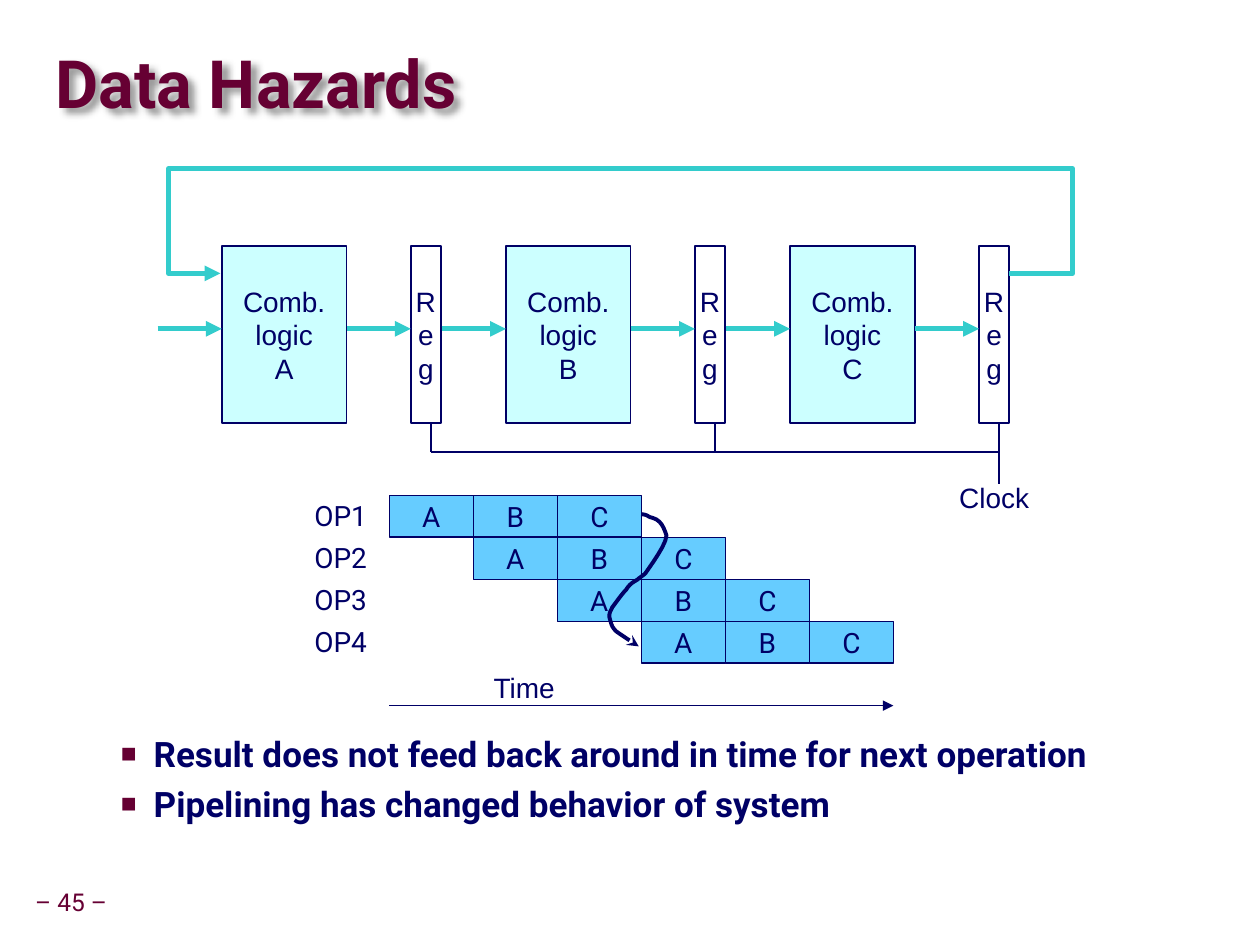
from dataclasses import dataclass
from typing import Optional

from lxml.etree import SubElement
from pptx import Presentation
from pptx.dml.color import RGBColor
from pptx.enum.shapes import MSO_CONNECTOR, MSO_SHAPE
from pptx.enum.text import MSO_ANCHOR as Anchor, MSO_AUTO_SIZE as AutoSize, PP_ALIGN as Align
from pptx.oxml import parse_xml
from pptx.oxml.ns import nsdecls, qn
from pptx.util import Inches, Pt

NAVY, MAROON, TEAL = "000066", "660033", "33CCCC"
WHITE, PALE, SKY = "FFFFFF", "CCFFFF", "66CCFF"
Point = tuple[float, float]


@dataclass
class Label:
    lines: list[str]
    left: float
    top: float
    width: float
    height: float
    font: str = "Arial"
    size: float = 16
    color: str = NAVY
    align: Align = Align.CENTER
    fill: Optional[str] = None
    border: Optional[float] = None
    side_margin: float = 0.1


@dataclass
class Stroke:
    color: str
    width: float
    head: Optional[str] = None


CLOCK_WIRE = Stroke(NAVY, 1)
TIME_ARROW = Stroke(NAVY, 1, "triangle")
DATA_ARROW = Stroke(TEAL, 3, "triangle")
HAZARD_ARROW = Stroke(NAVY, 2.25, "stealth")


def paint(target, color: str) -> None:
    """Give a fill or a line's fill a solid colour."""
    target.solid()
    target.fore_color.rgb = RGBColor.from_string(color)


def add_run(paragraph, text: str, font: str, size: float, color: str, bold: bool = False) -> None:
    run = paragraph.add_run()
    run.text = text
    run.font.name, run.font.size, run.font.bold = font, Pt(size), bold
    paint(run.font.fill, color)


def place(shape, left: float, top: float, width: float, height: float) -> None:
    shape.left, shape.top = Inches(left), Inches(top)
    shape.width, shape.height = Inches(width), Inches(height)


def draw_label(shapes, label: Label) -> None:
    """Draw a filled rectangle, or a text box when the label has no fill."""
    area = [Inches(v) for v in (label.left, label.top, label.width, label.height)]
    if label.fill:
        shape = shapes.add_shape(MSO_SHAPE.RECTANGLE, *area)
        shape.shadow.inherit = False
        paint(shape.fill, label.fill)
        if label.border:
            paint(shape.line.fill, NAVY)
            shape.line.width = Pt(label.border)
        else:
            shape.line.fill.background()
    else:
        shape = shapes.add_textbox(*area)
    frame = shape.text_frame
    frame.word_wrap = False
    frame.vertical_anchor = Anchor.MIDDLE
    frame.margin_left = frame.margin_right = Inches(label.side_margin)
    for i, line in enumerate(label.lines):
        paragraph = frame.add_paragraph() if i else frame.paragraphs[0]
        paragraph.alignment = label.align
        add_run(paragraph, line, label.font, label.size, label.color)


def style_line(shape, stroke: Stroke) -> None:
    paint(shape.line.fill, stroke.color)
    shape.line.width = Pt(stroke.width)
    if stroke.head:
        SubElement(shape.line._get_or_add_ln(), qn("a:tailEnd"), type=stroke.head)


def draw_line(shapes, start: Point, end: Point, stroke: Stroke) -> None:
    line = shapes.add_connector(MSO_CONNECTOR.STRAIGHT, *[Inches(v) for v in start + end])
    style_line(line, stroke)
    SubElement(line._element.spPr, qn("a:effectLst"))


def draw_path(shapes, points: list[Point], stroke: Stroke) -> None:
    start, *rest = [(Inches(x), Inches(y)) for x, y in points]
    builder = shapes.build_freeform(*start, scale=1.0)
    builder.add_line_segments(rest, close=False)
    path = builder.convert_to_shape()
    path.shadow.inherit = False
    path.fill.background()
    style_line(path, stroke)


def bezier_points(start: Point, curves: list[tuple[float, ...]], steps: int = 6) -> list[Point]:
    """Sample a chain of cubic curves, each given as two handles and an end."""
    points = [start]
    for x1, y1, x2, y2, x3, y3 in curves:
        x0, y0 = points[-1]
        for t in (k / steps for k in range(1, steps + 1)):
            a, b, c, d = (1 - t) ** 3, 3 * t * (1 - t) ** 2, 3 * t * t * (1 - t), t ** 3
            points.append((a * x0 + b * x1 + c * x2 + d * x3, a * y0 + b * y1 + c * y2 + d * y3))
    return points


def write_title(title) -> None:
    place(title, 0.44, 0.27, 9.53, 0.85)
    title.fill.background()
    title._element.spPr.append(parse_xml(
        f'<a:effectLst {nsdecls("a")}><a:outerShdw blurRad="50800" dist="50800" dir="2700000">'
        '<a:srgbClr val="000000"><a:alpha val="40000"/></a:srgbClr></a:outerShdw></a:effectLst>'))
    frame = title.text_frame
    frame.margin_left = frame.margin_right = frame.margin_top = frame.margin_bottom = 0
    frame.vertical_anchor = Anchor.MIDDLE
    frame.auto_size = AutoSize.NONE
    heading = frame.paragraphs[0]
    heading.alignment, heading.line_spacing = Align.LEFT, 0.87
    add_run(heading, "Data Hazards", "Roboto", 38, MAROON, bold=True)


def write_conclusions(body, conclusions: list[str]) -> None:
    place(body, 0.32, 5.76, 9.08, 1.29)
    frame = body.text_frame
    frame.auto_size = AutoSize.NONE
    for i, conclusion in enumerate(conclusions):
        paragraph = frame.add_paragraph() if i else frame.paragraphs[0]
        paragraph.level = 1
        paragraph.space_before = Pt(5 if i else 0)
        props = paragraph._p.get_or_add_pPr()
        props.set("marL", str(Inches(0.8)))
        props.set("indent", str(Inches(-0.26)))
        SubElement(SubElement(props, qn("a:buClr")), qn("a:srgbClr"), val=MAROON)
        SubElement(props, qn("a:buSzPct"), val="75000")
        SubElement(props, qn("a:buFont"), typeface="Arial")
        SubElement(props, qn("a:buChar"), char="■")
        add_run(paragraph, conclusion, "Roboto", 20, NAVY, bold=True)


def draw_pipeline(shapes) -> None:
    stage_step, top, height, data_y, clock_y = 2.255, 1.95, 1.41, 2.61, 3.59
    bottom = top + height
    for i, stage in enumerate("ABC"):
        left = 1.76 + i * stage_step
        register = left + 1.5
        draw_label(shapes, Label(["Comb.", "logic", stage], left, top, 0.99, height,
                                 fill=PALE, border=1))
        draw_label(shapes, Label(list("Reg"), register, top, 0.24, height, fill=WHITE, border=1))
        draw_line(shapes, (left - 0.51, data_y), (left, data_y), DATA_ARROW)
        draw_line(shapes, (left + 0.99, data_y), (register, data_y), DATA_ARROW)
        wire_end = 3.84 if stage == "C" else clock_y
        draw_line(shapes, (register + 0.16, bottom), (register + 0.16, wire_end), CLOCK_WIRE)
    draw_line(shapes, (3.42, clock_y), (7.93, clock_y), CLOCK_WIRE)
    draw_label(shapes, Label(["Clock"], 7.5, 3.76, 0.78, 0.37))
    feedback = [(8.01, 2.17), (8.51, 2.17), (8.51, 1.34), (1.34, 1.34), (1.34, 2.17), (1.75, 2.17)]
    draw_path(shapes, feedback, DATA_ARROW)


def draw_schedule(shapes) -> None:
    left, top, cell_width, cell_height = 3.09, 3.93, 2 / 3, 1 / 3
    for row in range(4):
        y = top + row * cell_height
        draw_label(shapes, Label([f"OP{row + 1}"], 2.09, y - 0.01, 0.92, cell_height,
                                 font="Roboto", align=Align.RIGHT, fill=WHITE))
        for column, stage in enumerate("ABC", start=row):
            draw_label(shapes, Label([stage], left + column * cell_width, y, cell_width,
                                     cell_height, font="Roboto", fill=SKY, border=0.75))
    draw_line(shapes, (left, 5.6), (left + 6 * cell_width, 5.6), TIME_ARROW)
    draw_label(shapes, Label(["Time"], 3.82, 5.27, 0.69, 0.37, align=Align.LEFT))
    hazard = bezier_points((5.09, 4.08), [
        (5.16, 4.09, 5.13, 4.1, 5.18, 4.11), (5.25, 4.13, 5.27, 4.19, 5.29, 4.25),
        (5.29, 4.32, 5.17, 4.48, 5.13, 4.54), (5.12, 4.56, 5.08, 4.58, 5.06, 4.6),
        (5.03, 4.62, 5, 4.63, 4.97, 4.68), (4.94, 4.71, 4.89, 4.78, 4.86, 4.82),
        (4.84, 4.86, 4.83, 4.88, 4.84, 4.91), (4.85, 4.94, 4.85, 4.97, 4.89, 5.01),
        (4.93, 5.04, 5.04, 5.11, 5.07, 5.13)])
    draw_path(shapes, hazard, HAZARD_ARROW)


def main() -> None:
    deck = Presentation()
    deck.slide_width, deck.slide_height = Inches(10), Inches(7.5)
    slide = deck.slides.add_slide(deck.slide_layouts[1])
    write_title(slide.shapes.title)
    write_conclusions(slide.placeholders[1], [
        "Result does not feed back around in time for next operation",
        "Pipelining has changed behavior of system"])
    draw_label(slide.shapes, Label(["– 45 –"], 0.23, 7, 0.67, 0.32, "Roboto", 14, MAROON,
                                   side_margin=0.02))
    draw_pipeline(slide.shapes)
    draw_schedule(slide.shapes)
    deck.save("out.pptx")


if __name__ == "__main__":
    main()
